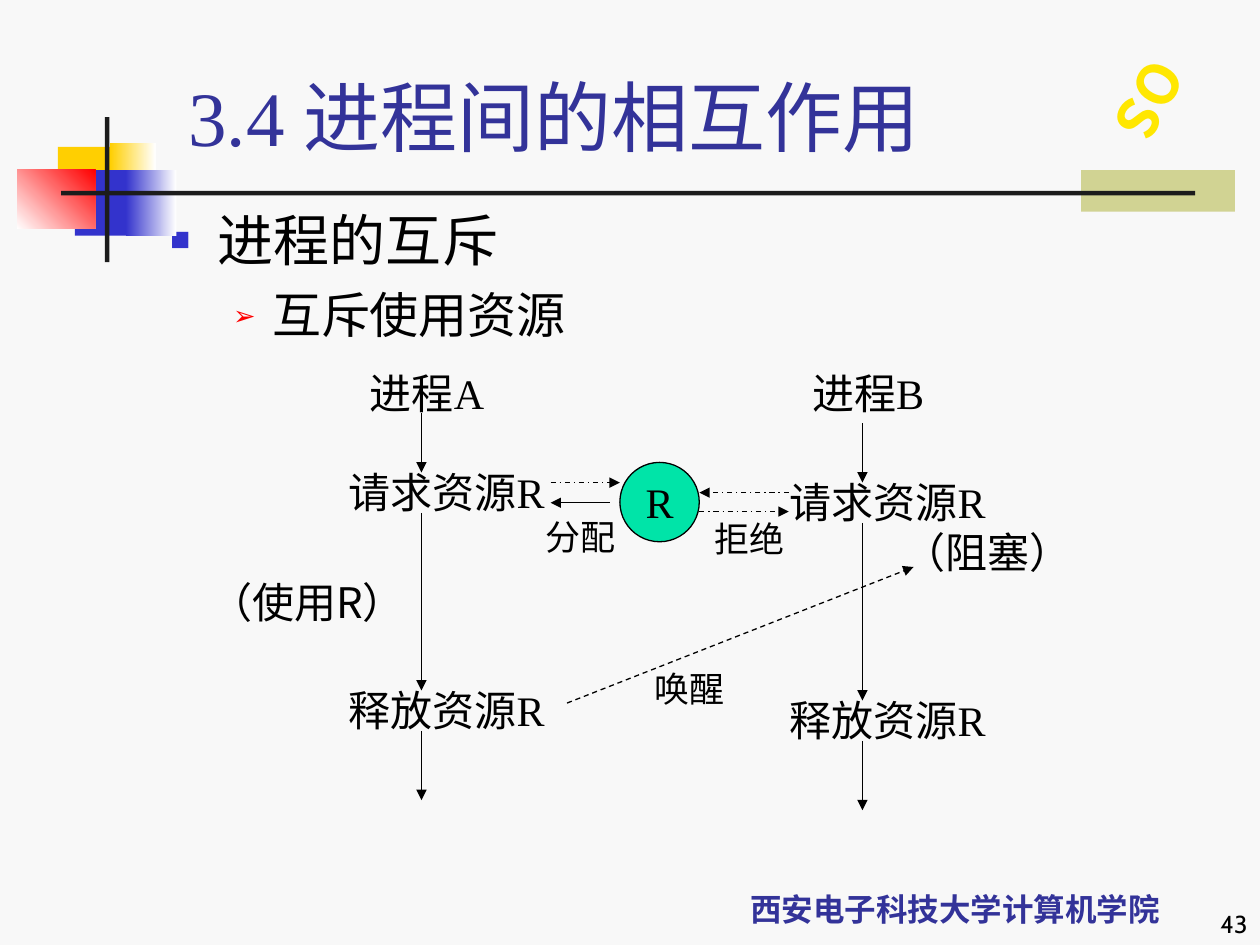
from lxml.etree import SubElement as Sub
from pptx import Presentation
from pptx.dml.color import RGBColor as RGB
from pptx.enum.dml import MSO_LINE as Dash
from pptx.enum.shapes import MSO_CONNECTOR as Link, MSO_SHAPE as Shape
from pptx.enum.text import MSO_ANCHOR as Anchor, MSO_AUTO_SIZE as Auto, PP_ALIGN as Align
from pptx.oxml.ns import qn
from pptx.util import Inches, Pt

SERIF, SANS, NUM = "Times New Roman", "Noto Sans CJK SC", "Cabin"
BLACK, INK = RGB(0, 0, 0), RGB(0x1C, 0x1C, 0x1C)
PAPER, WHITE = RGB(0xF8, 0xF8, 0xF8), RGB(255, 255, 255)
NAVY, BLUE = RGB(0x33, 0x33, 0x99), RGB(0x33, 0x33, 0xCC)
GOLD, LEMON = RGB(0xFF, 0xCF, 0x01), RGB(0xFF, 0xE7, 0x01)
RED, OLIVE, MINT = RGB(255, 0, 0), RGB(0xD1, 0xD3, 0x93), RGB(0, 0xE4, 0xA8)

deck = Presentation()
deck.slide_width, deck.slide_height = Inches(10), Inches(7.5)
COL, ROW = deck.slide_width / 100, deck.slide_height / 75
slide = deck.slides.add_slide(deck.slide_layouts[1])
slide.background.fill.solid()
slide.background.fill.fore_color.rgb = PAPER
shapes = slide.shapes


def grid(*nums):
    """Turn alternating columns and rows into slide lengths."""
    return [int(n * (ROW if i % 2 else COL)) for i, n in enumerate(nums)]


def write(para, text, size=24, font=SERIF, color=BLACK, bold=False, align=Align.CENTER):
    para.alignment = align
    run = para.add_run()
    run.text = text
    run.font.size, run.font.name, run.font.bold = Pt(size), font, bold
    run.font.color.rgb = color
    Sub(run.font._element, qn("a:ea"), typeface=SANS)


# Corner blocks and rules: place, first colour, last colour, angle
for place, first, last, angle in [
    ((85.8, 13.5, 12.2, 3.3), OLIVE, None, 0),
    ((4.6, 11.65, 4.8, 5.2), GOLD, None, 0),
    ((8.75, 11.35, 3.6, 5.2), GOLD, WHITE, 0),
    ((5.95, 13.5, 4.6, 5.2), BLUE, None, 0),
    ((10, 13.5, 4, 5.2), BLUE, WHITE, 0),
    ((1.35, 13.45, 6.2, 4.7), WHITE, RED, 45),
    ((8.33, 9.3, 0.35, 11.5), INK, None, 0),
    ((4.85, 15.15, 90, 0.35), INK, None, 0),
]:
    block = shapes.add_shape(Shape.RECTANGLE, *grid(*place))
    block.shadow.inherit = False
    block.line.fill.background()
    if last is None:
        block.fill.solid()
        block.fill.fore_color.rgb = first
    else:
        block.fill.gradient()
        block.fill.gradient_angle = angle
        for stop, color in zip(block.fill.gradient_stops, (first, last)):
            stop.color.rgb = color

# Title and list
title, body = shapes.title, slide.placeholders[1]
for box, place, anchor in [
    (title, (13.95, 5.05, 85.2, 8.3), Anchor.BOTTOM),
    (body, (12.5, 15.8, 85, 13), Anchor.TOP),
]:
    box.left, box.top, box.width, box.height = grid(*place)
    box.text_frame.auto_size = Auto.NONE
    box.text_frame.vertical_anchor = anchor
write(title.text_frame.paragraphs[0], "3.4 进程间的相互作用", size=44, color=NAVY, align=Align.LEFT)

frame = body.text_frame
for level, (text, size, mark, face, color, share, left, hang, gap) in enumerate([
    ("进程的互斥", 32, "■", SERIF, BLUE, 60, 0.38, 0.38, 0),
    ("互斥使用资源", 28, "➢", SANS, RED, 55, 0.81, 0.31, 7),
]):
    para = frame.add_paragraph() if level else frame.paragraphs[0]
    para.level = level
    props = para._p.get_or_add_pPr()
    props.set("marL", str(Inches(left)))
    props.set("indent", str(-Inches(hang)))
    Sub(Sub(props, qn("a:buClr")), qn("a:srgbClr"), val=str(color))
    Sub(props, qn("a:buSzPct"), val=str(share * 1000))
    Sub(props, qn("a:buFont"), typeface=face)
    Sub(props, qn("a:buChar"), char=mark)
    para.space_before = Pt(gap)
    write(para, text, size=size, align=Align.LEFT)

# Two process lanes, then the notes between them
labels, arrows = [], []
for name, mid, down, ask in [("A", 33.45, 0, 36.7), ("B", 68.45, 0.8, 37.5)]:
    side = mid - 6.25
    labels += [
        (f"进程{name}", (mid - 7.05, 28.8, 15, 4.7), {}),
        ("请求资源R", (side, ask, 16.5, 4.7), {}),
        ("释放资源R", (side, 54 + down, 16.5, 4.7), {}),
    ]
    arrows += [((mid, a + down, mid, b + down), None)
               for a, b in [(32.8, 37.5), (40.7, 54.8), (58, 63.5)]]
labels += [
    ("（阻塞）", (70.9, 41.4, 15, 4.7), {}),
    ("（使用R）", (15.4, 45.4, 18, 4.7), {"font": SANS}),
    ("分配", (41.3, 40.6, 9.5, 3.9), {"size": 20}),
    ("拒绝", (54.7, 40.8, 9.5, 3.9), {"size": 20}),
    ("唤醒", (50, 52.7, 9.5, 3.9), {"size": 20}),
]
arrows += [
    ((48.4, 39.9, 43.7, 39.9), None),
    ((43.7, 38.3, 49.2, 38.3), Dash.DASH_DOT),
    ((55.5, 40.6, 62.6, 40.6), Dash.DASH_DOT),
    ((62.6, 39.1, 55.5, 39.1), Dash.DASH_DOT),
    ((45, 55.8, 72.5, 45), Dash.DASH),
]
for text, place, form in labels:
    frame = shapes.add_textbox(*grid(*place)).text_frame
    frame.word_wrap = False
    frame.margin_left = frame.margin_right = 0
    frame.vertical_anchor = Anchor.MIDDLE
    write(frame.paragraphs[0], text, **form)

for ends, dash in arrows:
    arrow = shapes.add_connector(Link.STRAIGHT, *grid(*ends))
    arrow.line.width = Pt(0.75)
    arrow.line.color.rgb = BLACK
    if dash:
        arrow.line.dash_style = dash
    Sub(arrow.line._get_or_add_ln(), qn("a:tailEnd"), type="triangle")
    Sub(arrow._element.spPr, qn("a:effectLst"))

# Shared resource
disc = shapes.add_shape(Shape.OVAL, *grid(49.2, 36.7, 6.3, 6.3))
disc.shadow.inherit = False
disc.fill.solid()
disc.fill.fore_color.rgb = MINT
disc.line.color.rgb = BLACK
disc.line.width = Pt(0.75)
disc.text_frame.word_wrap = False
disc.text_frame.vertical_anchor = Anchor.MIDDLE
write(disc.text_frame.paragraphs[0], "R")

# Footer, page number and tilted course mark
for text, place, form in [
    ("西安电子科技大学计算机学院", (53.3, 68.3, 45, 5.8),
     {"size": 18, "font": SANS, "color": NAVY, "bold": True}),
    ("43", (79.2, 70, 20.8, 5), {"size": 14, "font": NUM, "align": Align.RIGHT}),
]:
    frame = shapes.add_textbox(*grid(*place)).text_frame
    frame.word_wrap = True
    frame.vertical_anchor = Anchor.BOTTOM
    write(frame.paragraphs[0], text, **form)

mark = shapes.add_textbox(*grid(87.65, 4, 7.9, 7.1))
mark.rotation = 29.3
frame = mark.text_frame
frame.word_wrap = False
frame.vertical_anchor = Anchor.MIDDLE
frame._txBody.bodyPr.set("vert", "eaVert")
write(frame.paragraphs[0], "OS", size=32, font=SANS, color=LEMON, bold=True)

deck.save("out.pptx")
